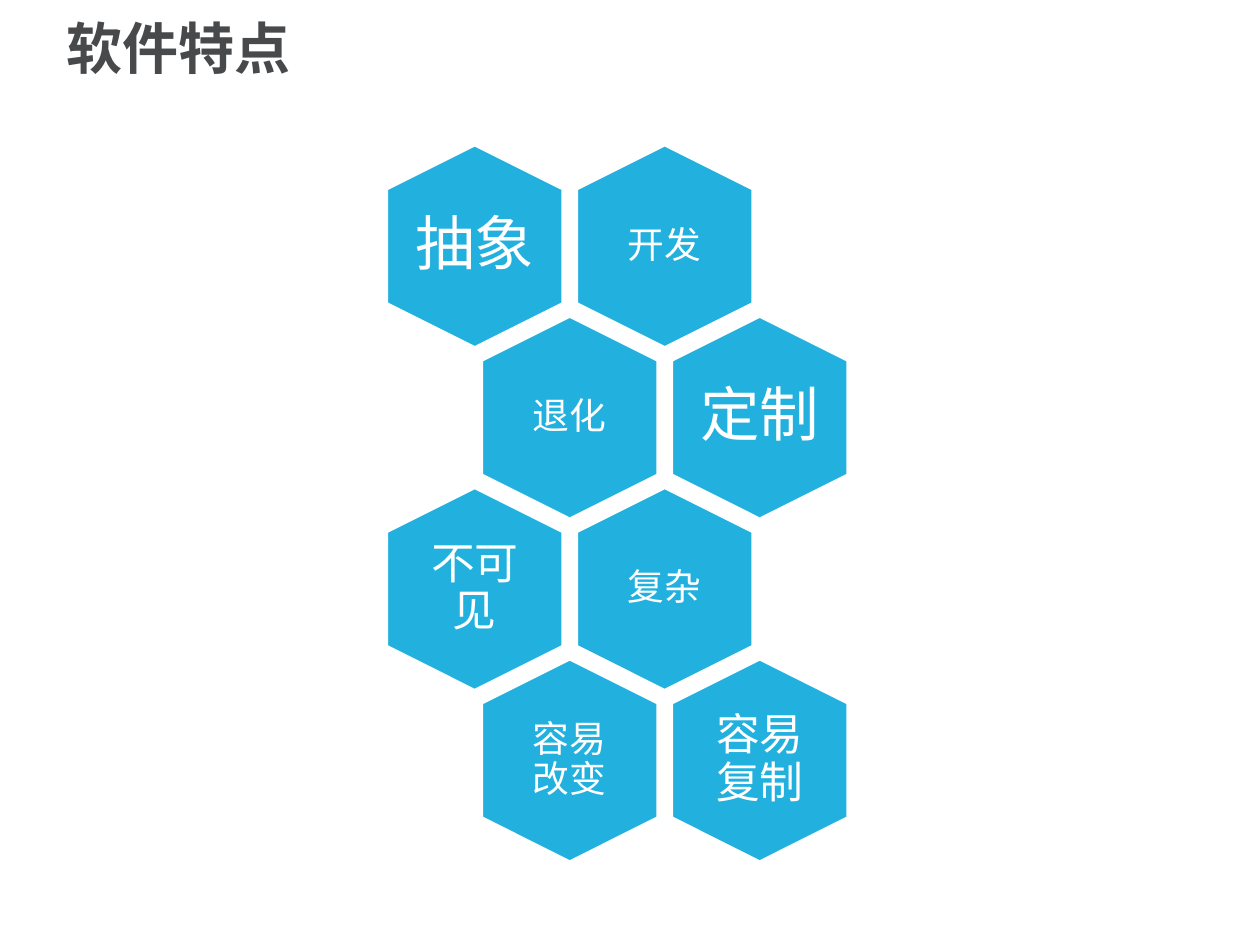
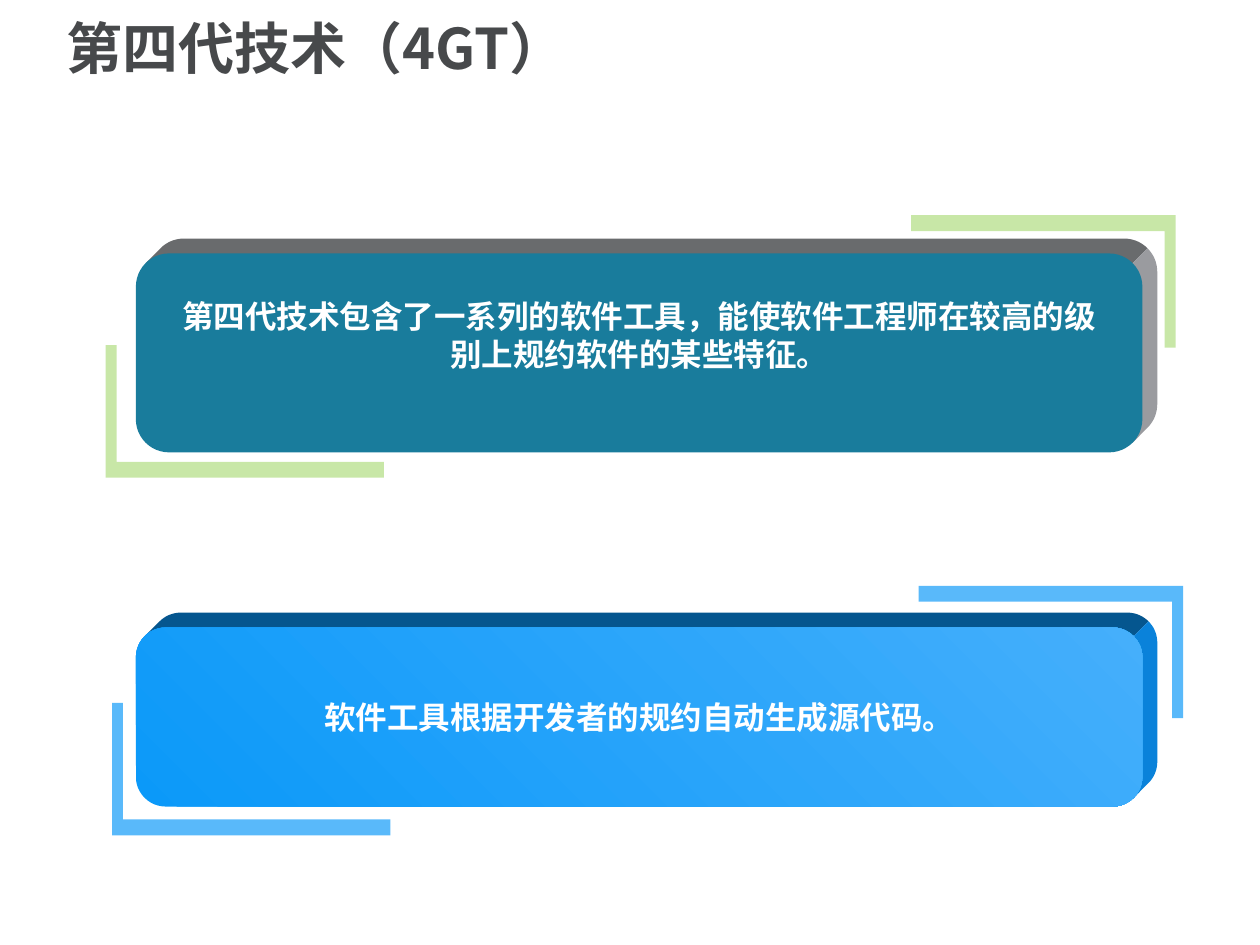
from dataclasses import dataclass
from math import cos, radians, sin

from lxml import etree
from pptx import Presentation
from pptx.dml.color import RGBColor
from pptx.enum.shapes import MSO_SHAPE
from pptx.enum.text import MSO_ANCHOR, PP_ALIGN
from pptx.oxml.ns import qn
from pptx.util import Cm, Pt

HEXAGON = MSO_SHAPE.HEXAGON
ROUNDED = MSO_SHAPE.ROUNDED_RECTANGLE
MIDDLE = MSO_ANCHOR.MIDDLE
CENTER = PP_ALIGN.CENTER
LEFT = PP_ALIGN.LEFT


@dataclass(frozen=True)
class Theme:
    font: str = "Noto Sans CJK SC"
    title: str = "47494B"
    white: str = "FFFFFF"
    hexagon: str = "22B1DE"
    title_size: int = 32
    card_size: int = 18
    large: int = 34
    medium: int = 25
    small: int = 21


theme = Theme()


def write_text(shape, lines, size, color, align=CENTER, bold=False, spacing=None):
    frame = shape.text_frame
    frame.text = "\n".join(lines)
    frame.vertical_anchor = MIDDLE
    for para in frame.paragraphs:
        para.alignment = align
        if spacing:
            para.line_spacing = spacing
        for span in para.runs:
            span.font.size = Pt(size)
            span.font.bold = bold
            span.font.name = theme.font
            span.font.color.rgb = RGBColor.from_string(color)
            east_asian = etree.SubElement(span.font._element, qn("a:ea"))
            east_asian.set("typeface", theme.font)


def draw_outline(page, points, color, opacity=100):
    corners = [(Cm(x), Cm(y)) for x, y in points]
    builder = page.shapes.build_freeform(*corners[0], scale=1.0)
    builder.add_line_segments(corners[1:], close=True)
    outline = builder.convert_to_shape()
    outline.shadow.inherit = False
    outline.line.fill.background()
    outline.fill.solid()
    outline.fill.fore_color.rgb = RGBColor.from_string(color)
    if opacity < 100:
        solid = outline._element.spPr.find(qn("a:solidFill"))
        alpha = etree.SubElement(solid[0], qn("a:alpha"))
        alpha.set("val", str(opacity * 1000))


deck = Presentation()
deck.slide_width = Cm(25.4)
deck.slide_height = Cm(19.05)
pages = []
for title in ("软件特点", "第四代技术（4GT）"):
    page = deck.slides.add_slide(deck.slide_layouts[6])
    box = page.shapes.add_textbox(Cm(1.09), Cm(0.15), Cm(22.99), Cm(1.78))
    box.text_frame.word_wrap = True
    write_text(box, [title], theme.title_size, theme.title, LEFT, True, 0.9)
    pages.append(page)
traits_page, technique_page = pages

traits = [
    [("抽象", theme.large), ("开发", theme.small)],
    [("退化", theme.small), ("定制", theme.large)],
    [("不可见", theme.medium), ("复杂", theme.small)],
    [("容易改变", theme.small), ("容易复制", theme.medium)],
]
hexagon_width, hexagon_height = 4.06, 3.53
label_width, label_height = 2.44, 2.79
column_step, row_step = 3.83, 3.455
for row, pair in enumerate(traits):
    for column, (trait, size) in enumerate(pair):
        center_x = 9.57 + column_step * (column + row % 2 / 2)
        center_y = 4.965 + row_step * row
        hexagon = traits_page.shapes.add_shape(
            HEXAGON, Cm(center_x - hexagon_width / 2), Cm(center_y - hexagon_height / 2),
            Cm(hexagon_width), Cm(hexagon_height))
        hexagon.rotation = 90
        hexagon.adjustments[0] = 0.25
        hexagon.shadow.inherit = False
        hexagon.fill.solid()
        hexagon.fill.fore_color.rgb = RGBColor.from_string(theme.hexagon)
        hexagon.line.color.rgb = RGBColor.from_string(theme.white)
        hexagon.line.width = Pt(1)

        label = traits_page.shapes.add_textbox(
            Cm(center_x - label_width / 2), Cm(center_y - label_height / 2),
            Cm(label_width), Cm(label_height))
        frame = label.text_frame
        frame.word_wrap = True
        inset = Cm(0.23) if size == theme.small else 0
        frame.margin_left = frame.margin_right = inset
        frame.margin_top = frame.margin_bottom = inset
        write_text(label, [trait], size, theme.white, spacing=0.9)

cards = [
    dict(top=5.11, height=4.01, front=["197C9C"], upper="696B6D", side="9A9B9F",
         bracket="92D050", opacity=50, lower_left=(2.13, 9.63), upper_right=(23.7, 4.34),
         bottom_inset=0.85,
         lines=["第四代技术包含了一系列的软件工具，能使软件工程师在较高的级",
                "别上规约软件的某些特征。"]),
    dict(top=12.65, height=3.61, front=["0B99F9", "45AFFB"], upper="05568F", side="0A82DA",
         bracket="0B99F9", opacity=68, lower_left=(2.26, 16.84), upper_right=(23.85, 11.81),
         bottom_inset=0.13,
         lines=["软件工具根据开发者的规约自动生成源代码。"]),
]
card_left, card_width, depth, rounding = 2.74, 20.29, 0.3, 0.167
bar_width, bar_height, bracket_height = 0.22, 0.32, 2.67
for card in cards:
    for corner, length, sign in ((card["lower_left"], 5.61, 1), (card["upper_right"], 5.33, -1)):
        steps = [(0, 0), (length, 0), (length, bar_height), (bar_width, bar_height),
                 (bar_width, bracket_height), (0, bracket_height)]
        points = [(corner[0] + sign * x, corner[1] - sign * y) for x, y in steps]
        draw_outline(technique_page, points, card["bracket"], card["opacity"])

    radius = rounding * card["height"]
    near_x, far_x = card_left + radius, card_left + card_width - radius
    near_y, far_y = card["top"] + radius, card["top"] + card["height"] - radius
    edges = [
        (card["upper"], 225, (near_x, near_y), (far_x, near_y)),
        (card["side"], 315, (far_x, near_y), (far_x, far_y)),
    ]
    for color, start, first, second in edges:
        rim = [(x + radius * cos(radians(angle)), y + radius * sin(radians(angle)))
               for (x, y), begin in ((first, start), (second, start + 45))
               for angle in range(begin, begin + 46, 5)]
        panel = [rim[0]] + [(x + depth, y - depth) for x, y in rim] + [rim[-1]]
        draw_outline(technique_page, panel, color)

    front = technique_page.shapes.add_shape(
        ROUNDED, Cm(card_left), Cm(card["top"]), Cm(card_width), Cm(card["height"]))
    front.adjustments[0] = rounding
    front.shadow.inherit = False
    front.line.fill.background()
    if len(card["front"]) == 1:
        front.fill.solid()
        front.fill.fore_color.rgb = RGBColor.from_string(card["front"][0])
    else:
        front.fill.gradient()
        front.fill.gradient_angle = 45
        for stop, color in zip(front.fill.gradient_stops, card["front"]):
            stop.color.rgb = RGBColor.from_string(color)
    front.text_frame.word_wrap = False
    front.text_frame.margin_bottom = Cm(card["bottom_inset"])
    write_text(front, card["lines"], theme.card_size, theme.white, bold=True)

deck.save("out.pptx")
